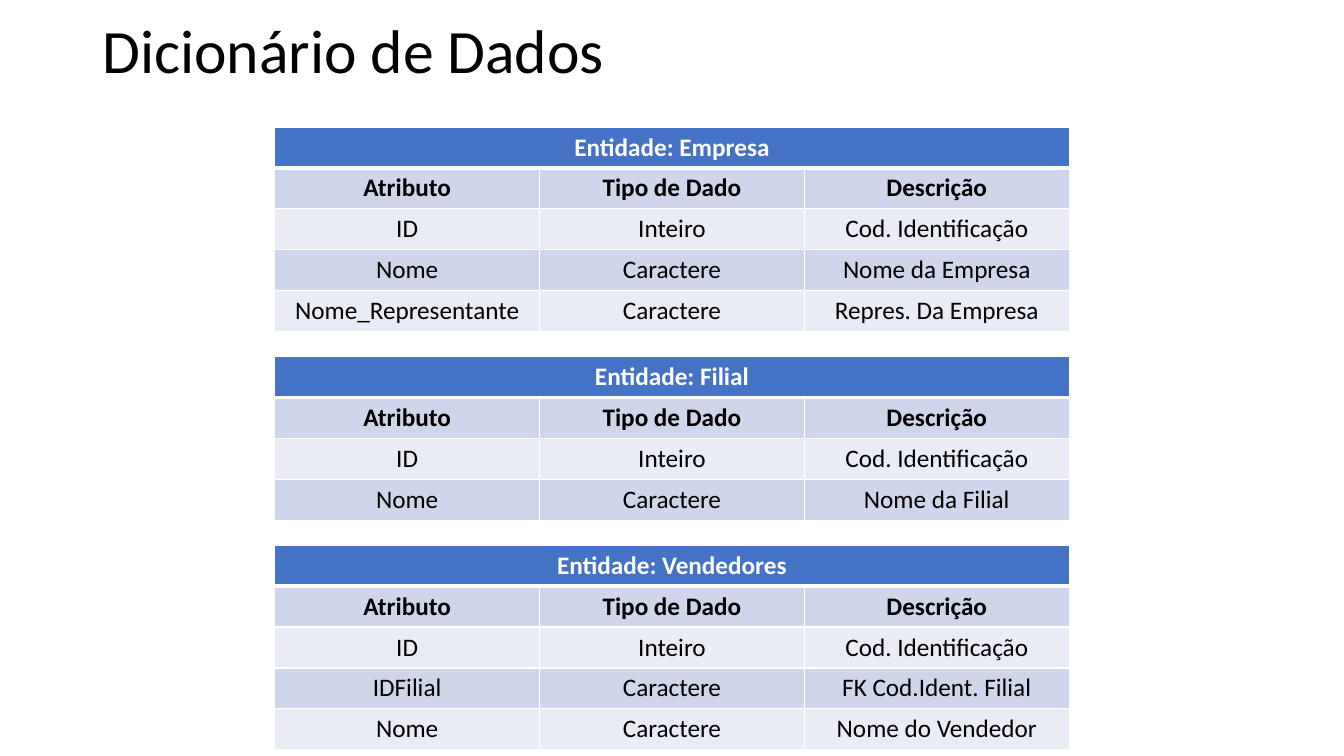
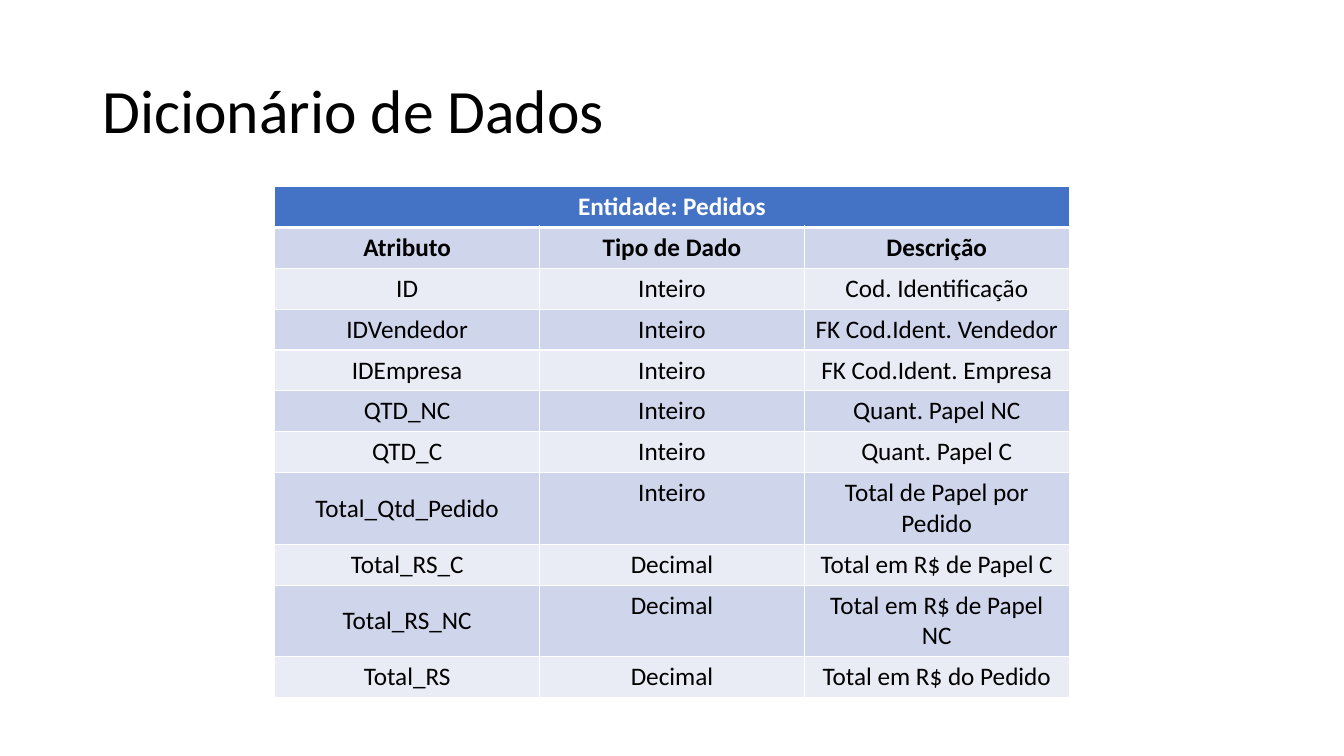
"""Build two data dictionary slides with one table per entity."""
import pptx
import pptx.dml.color
import pptx.enum.text
import pptx.oxml
import pptx.oxml.ns
import pptx.util

COLORS = {"header": "4472C4", "dark band": "CFD5EA", "light band": "E9EBF5",
          "white": "FFFFFF", "black": "000000"}
FONT = "Calibri"
ALIGN = pptx.enum.text.PP_ALIGN
ANCHOR = pptx.enum.text.MSO_ANCHOR

deck = pptx.Presentation()
deck.slide_width = pptx.util.Inches(13.33)
deck.slide_height = pptx.util.Inches(7.5)

TITLE_WIDTH = pptx.util.Inches(11.5)
TITLE_HEIGHT = pptx.util.Inches(1.45)
COLUMNS = 3
TABLE_WIDTH = pptx.util.Inches(7.88)
ROW_HEIGHT = pptx.util.Pt(29.2)
TABLE_GAP = pptx.util.Inches(0.25)
HEADINGS = ("Atributo", "Tipo de Dado", "Descrição")
ID_ROW = ("ID", "Inteiro", "Cod. Identificação")

PAGES = [
    {"title top": -0.19, "name anchor": ANCHOR.TOP, "entities": {
        "Empresa": [
            ("Nome", "Caractere", "Nome da Empresa"),
            ("Nome_Representante", "Caractere", "Repres. Da Empresa")],
        "Filial": [
            ("Nome", "Caractere", "Nome da Filial")],
        "Vendedores": [
            ("IDFilial", "Caractere", "FK Cod.Ident. Filial"),
            ("Nome", "Caractere", "Nome do Vendedor")]}},
    {"title top": 0.4, "name anchor": ANCHOR.MIDDLE, "entities": {
        "Pedidos": [
            ("IDVendedor", "Inteiro", "FK Cod.Ident. Vendedor"),
            ("IDEmpresa", "Inteiro", "FK Cod.Ident. Empresa"),
            ("QTD_NC", "Inteiro", "Quant. Papel NC"),
            ("QTD_C", "Inteiro", "Quant. Papel C"),
            ("Total_Qtd_Pedido", "Inteiro", "Total de Papel por Pedido"),
            ("Total_RS_C", "Decimal", "Total em R$ de Papel C"),
            ("Total_RS_NC", "Decimal", "Total em R$ de Papel NC"),
            ("Total_RS", "Decimal", "Total em R$ do Pedido")]}},
]


def write_text(frame, text, size=18, color="black", bold=False, align=ALIGN.CENTER, spacing=1.0):
    para = frame.paragraphs[0]
    para.alignment = align
    para.line_spacing = spacing
    span = para.add_run()
    span.text = text
    span.font.name = FONT
    span.font.size = pptx.util.Pt(size)
    span.font.bold = bold
    span.font.color.rgb = pptx.dml.color.RGBColor.from_string(COLORS[color])


def style_cell(cell, row, fill):
    widths = {"L": 1, "R": 1, "T": 3 if row == 1 else 1, "B": 3 if row == 0 else 1}
    properties = cell._tc.get_or_add_tcPr()
    for side, width in widths.items():
        properties.append(pptx.oxml.parse_xml(
            f'<a:ln{side} {pptx.oxml.ns.nsdecls("a")} w="{pptx.util.Pt(width)}">'
            f'<a:solidFill><a:srgbClr val="{COLORS["white"]}"/></a:solidFill></a:ln{side}>'))
    cell.fill.solid()
    cell.fill.fore_color.rgb = pptx.dml.color.RGBColor.from_string(COLORS[fill])


for page in PAGES:
    slide = deck.slides.add_slide(deck.slide_layouts[5])
    title = slide.shapes.title
    title.left, title.top = (deck.slide_width - TITLE_WIDTH) // 2, pptx.util.Inches(page["title top"])
    title.width, title.height = TITLE_WIDTH, TITLE_HEIGHT
    title.text_frame.auto_size = pptx.enum.text.MSO_AUTO_SIZE.NONE
    title.text_frame.vertical_anchor = ANCHOR.MIDDLE
    write_text(title.text_frame, "Dicionário de Dados", size=44, align=ALIGN.LEFT, spacing=0.9)

    table_top = title.top + title.height
    for entity, attributes in page["entities"].items():
        rows = [(f"Entidade: {entity}", "", ""), HEADINGS, ID_ROW, *attributes]
        table_height = ROW_HEIGHT * len(rows)
        table = slide.shapes.add_table(
            len(rows), COLUMNS, (deck.slide_width - TABLE_WIDTH) // 2, table_top,
            TABLE_WIDTH, table_height).table
        table.cell(0, 0).merge(table.cell(0, COLUMNS - 1))
        for row, texts in enumerate(rows):
            fill = "header" if row == 0 else "dark band" if row % 2 else "light band"
            for column, text in enumerate(texts):
                cell = table.cell(row, column)
                style_cell(cell, row, fill)
                if text:
                    write_text(cell.text_frame, text, bold=row < 2,
                               color="black" if row else "white")
                if column == 0 and row > 2:
                    cell.vertical_anchor = page["name anchor"]
        table_top += table_height + TABLE_GAP

deck.save("out.pptx")
